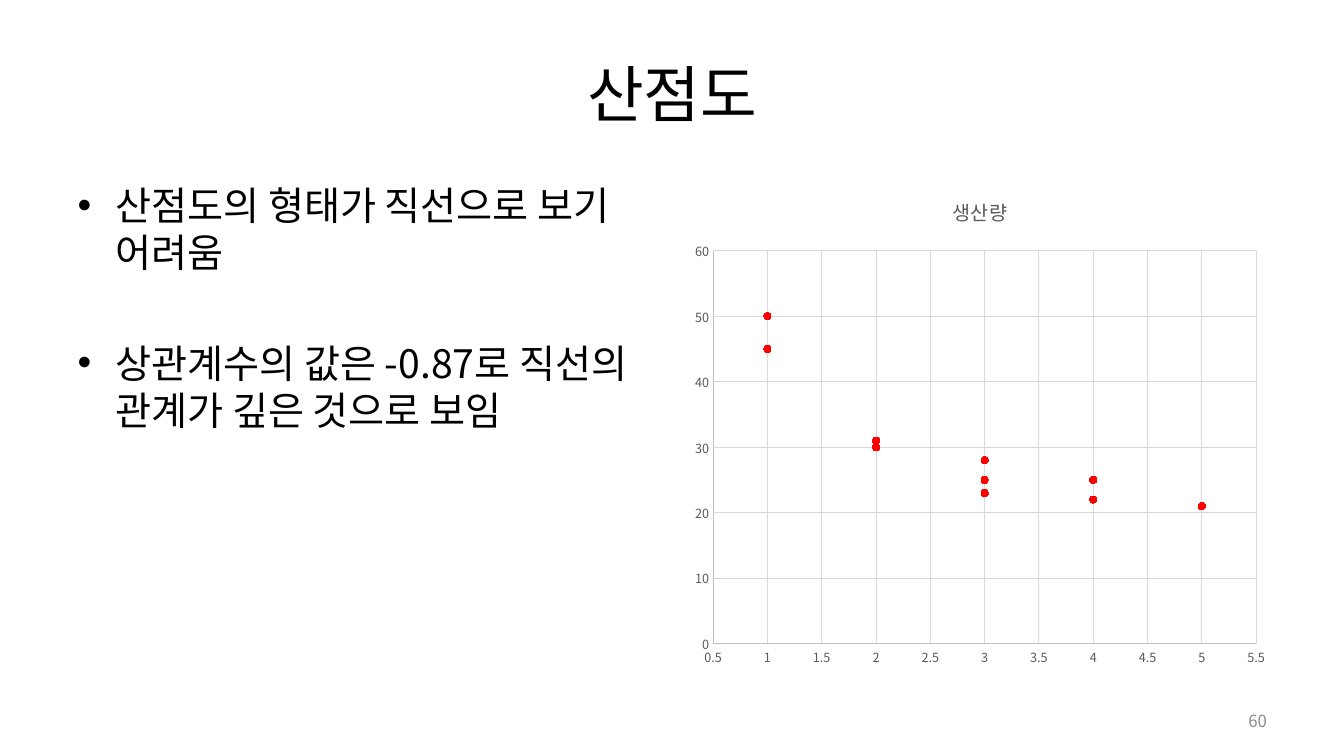
from lxml import etree
from pptx import Presentation
from pptx.chart.data import XyChartData
from pptx.dml.color import RGBColor
from pptx.enum import chart as charts, text
from pptx.oxml.ns import qn
from pptx.util import Cm, Pt

FONT = "Noto Sans CJK KR"
BLACK, GREY, PALE, AXIS, GRID, RED = (
    "000000", "595959", "8C8C8C", "BFBFBF", "D9D9D9", "FF0000")
PRODUCTION = {1: [50, 45], 2: [31, 30], 3: [28, 25, 23], 4: [25, 22], 5: [21]}


def color(value):
    return RGBColor.from_string(value)


def style_font(font, size, value):
    """Set size, colour and typeface, for Latin and Hangul alike, without kerning."""
    font.size = Pt(size)
    font.color.rgb = color(value)
    font.name = FONT
    properties = font._rPr
    properties.set("kern", "0")
    hangul = etree.Element(qn("a:ea"), typeface=FONT)
    properties.find(qn("a:latin")).addnext(hangul)


def place(box, left, top, width, height):
    box.left, box.top, box.width, box.height = map(Cm, (left, top, width, height))


def add_span(para, words, size, value):
    span = para.add_run()
    span.text = words
    style_font(span.font, size, value)
    return span


def fill_title(box, words):
    place(box, 1.7, 0.76, 30.48, 3.18)
    add_span(box.text_frame.paragraphs[0], words, 44, BLACK)


def fill_list(box, items):
    place(box, 1.7, 4.45, 14.96, 12.57)
    frame = box.text_frame
    frame.auto_size = text.MSO_AUTO_SIZE.NONE
    frame.margin_right = Cm(0.4)
    for index, words in enumerate(items):
        para = frame.paragraphs[0] if index == 0 else frame.add_paragraph()
        para.space_before = Pt(45 if index else 0)
        add_span(para, words, 28, BLACK)


def add_page_number(page, number):
    box = page.shapes.add_textbox(Cm(24.28), Cm(17.65), Cm(7.9), Cm(1.02))
    frame = box.text_frame
    frame.word_wrap = True
    frame.vertical_anchor = text.MSO_ANCHOR.MIDDLE
    para = frame.paragraphs[0]
    para.alignment = text.PP_ALIGN.RIGHT
    add_span(para, number, 12, PALE)


def style_line(line, value):
    line.color.rgb = color(value)
    line.width = Pt(0.75)


def style_axis(axis, low, high, step):
    axis.minimum_scale, axis.maximum_scale, axis.major_unit = low, high, step
    axis.major_tick_mark = axis.minor_tick_mark = charts.XL_TICK_MARK.NONE
    axis.has_major_gridlines = True
    style_line(axis.major_gridlines.format.line, GRID)
    style_line(axis.format.line, AXIS)
    style_font(axis.tick_labels.font, 9, GREY)


def add_scatter(page, name, groups):
    data = XyChartData()
    points = data.add_series(name)
    for x, values in groups.items():
        for y in values:
            points.add_data_point(x, y)
    chart = page.shapes.add_chart(charts.XL_CHART_TYPE.XY_SCATTER, Cm(17.22), Cm(4.45),
                                  Cm(14.96), Cm(12.57), data).chart
    style_font(chart.font, 10, BLACK)
    chart.has_legend = False
    chart.has_title = True
    title = chart.chart_title
    add_span(title.text_frame.paragraphs[0], name, 14, GREY).font.bold = False
    title.include_in_layout = False
    style_axis(chart.category_axis, 0.5, 5.5, 0.5)
    style_axis(chart.value_axis, 0, 60, 10)

    chart.plots[0].vary_by_categories = False
    series = chart.plots[0].series[0]
    series.smooth = False
    series.format.line.fill.background()
    marker = series.marker
    marker.style = charts.XL_MARKER_STYLE.CIRCLE
    marker.size = 5
    marker.format.fill.solid()
    marker.format.fill.fore_color.rgb = color(RED)
    style_line(marker.format.line, RED)


def main():
    deck = Presentation()
    deck.slide_width, deck.slide_height = Cm(33.87), Cm(19.05)
    page = deck.slides.add_slide(deck.slide_layouts[1])
    fill_title(page.shapes.title, "산점도")
    fill_list(page.placeholders[1], [
        "산점도의 형태가 직선으로 보기 어려움",
        "상관계수의 값은 -0.87로 직선의 관계가 깊은 것으로 보임",
    ])
    add_scatter(page, "생산량", PRODUCTION)
    add_page_number(page, "60")
    deck.save("out.pptx")


if __name__ == "__main__":
    main()
